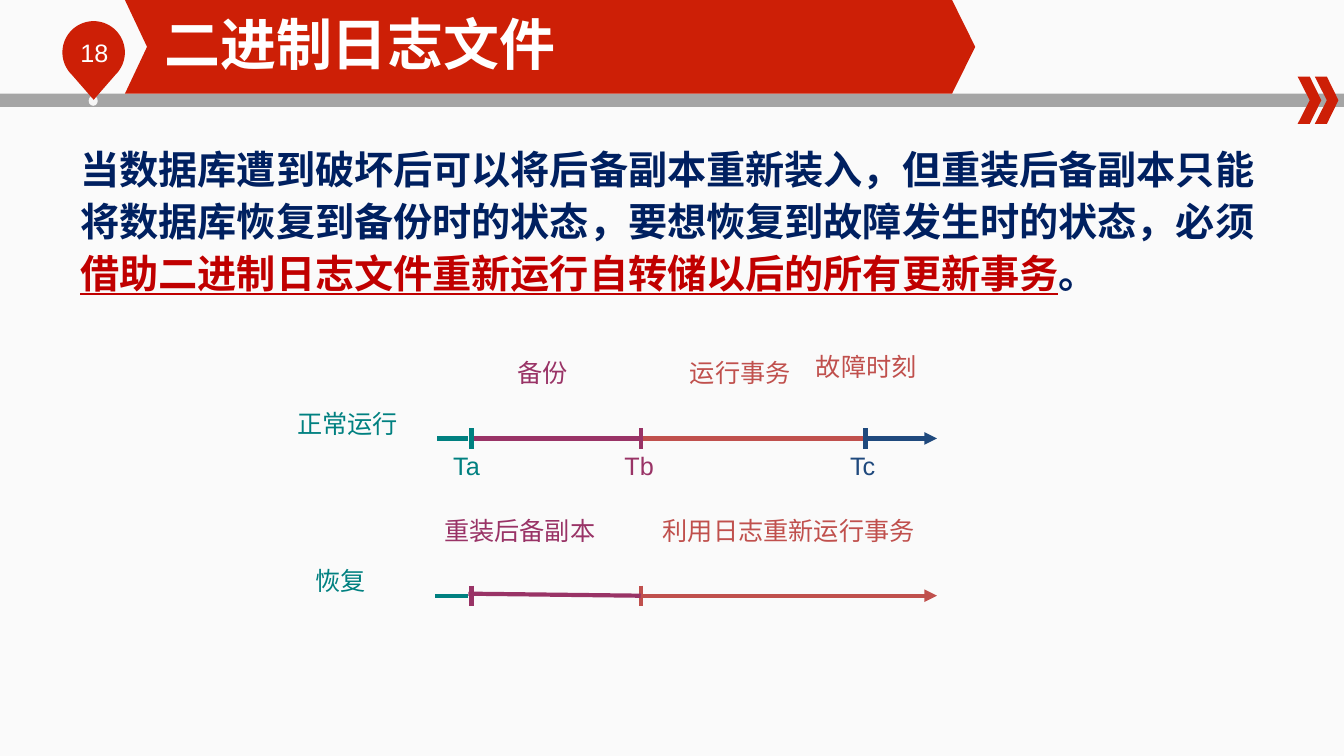
import math

import pptx
import pptx.dml.color
import pptx.enum.dml
import pptx.enum.shapes
import pptx.enum.text
import pptx.oxml.ns
import pptx.util
from lxml import etree

RGBColor = pptx.dml.color.RGBColor
SHAPE = pptx.enum.shapes.MSO_SHAPE
ANCHOR = pptx.enum.text.MSO_ANCHOR
qn = pptx.oxml.ns.qn

RED = RGBColor(0xCD, 0x1F, 0x06)
DARK_RED = RGBColor(0xC0, 0x00, 0x00)
NAVY = RGBColor(0x00, 0x20, 0x60)
BLUE = RGBColor(0x1F, 0x49, 0x7D)
PURPLE = RGBColor(0x99, 0x33, 0x66)
CORAL = RGBColor(0xC0, 0x50, 0x4D)
TEAL = RGBColor(0x00, 0x80, 0x80)
GREY = RGBColor(0xA5, 0xA5, 0xA5)
PALE = RGBColor(0xF6, 0xF6, 0xF6)
WHITE = RGBColor(0xFF, 0xFF, 0xFF)
BACK_TOP = RGBColor(0xFA, 0xFA, 0xFA)
BACK_BOTTOM = RGBColor(0xFC, 0xFC, 0xFC)

LATIN, CJK = "Arial", "Noto Sans CJK SC"
COLS, ROWS = 133.4, 75  # grid of square cells
CELL = pptx.util.Inches(0.1)


def cells(*counts):
    return [pptx.util.Emu(round(n * CELL)) for n in counts]


def add_run(p, text, size=18, font=LATIN, color=WHITE, bold=False, underline=False):
    r = p.add_run()
    r.text = text
    r.font.size = pptx.util.Pt(size)
    r.font.name = font
    r.font.bold = bold
    r.font.underline = underline
    r.font.color.rgb = color
    etree.SubElement(r.font._element, qn("a:ea"), typeface=CJK)
    return r


class Deck:
    """Holds the line style and the current slide; lengths are grid cells."""

    line_width = pptx.util.Pt(3)

    def __init__(self):
        self.prs = pptx.Presentation()
        self.prs.slide_width, self.prs.slide_height = cells(COLS, ROWS)
        self.s = self.prs.slides.add_slide(self.prs.slide_layouts[6])

    def background(self, top, bottom):
        fill = self.s.background.fill
        fill.gradient()
        fill.gradient_angle = 270
        for stop, color, position in zip(fill.gradient_stops, (top, bottom), (0, 1)):
            stop.color.rgb = color
            stop.position = position

    def paint(self, sp, color):
        sp.shadow.inherit = False
        sp.fill.solid()
        sp.fill.fore_color.rgb = color
        sp.line.fill.background()

    def shape(self, kind, x, y, w, h, color):
        self.paint(self.s.shapes.add_shape(kind, *cells(x, y, w, h)), color)

    def outline(self, points, color):
        start, *rest = [cells(*point) for point in points]
        builder = self.s.shapes.build_freeform(*start)
        builder.add_line_segments(rest, close=True)
        self.paint(builder.convert_to_shape(), color)

    def line(self, x1, y1, x2, y2, color, arrow=False):
        sp = self.s.shapes.add_connector(
            pptx.enum.shapes.MSO_CONNECTOR.STRAIGHT, *cells(x1, y1, x2, y2))
        sp.line.width = self.line_width
        sp.line.color.rgb = color
        if arrow:
            etree.SubElement(sp.line._get_or_add_ln(), qn("a:tailEnd"), type="triangle")
        etree.SubElement(sp._element.spPr, qn("a:effectLst"))

    def tick(self, x, y, color):
        self.line(x, y - 1, x, y + 1, color)

    def text(self, x, y, w, h, runs, wrap=True, inset=(1, 0.5), anchor=ANCHOR.TOP,
             spacing=None, after=None):
        tf = self.s.shapes.add_textbox(*cells(x, y, w, h)).text_frame
        tf.word_wrap = wrap
        tf.auto_size = pptx.enum.text.MSO_AUTO_SIZE.SHAPE_TO_FIT_TEXT
        tf.vertical_anchor = anchor
        tf.margin_left, tf.margin_top = cells(*inset)
        tf.margin_right, tf.margin_bottom = cells(*inset)
        p = tf.paragraphs[0]
        p.line_spacing = spacing
        p.space_after = after
        for text, style in runs:
            add_run(p, text, **style)

    def label(self, x, y, text, color):
        width = 4.9 if text.isascii() else 2.5 * len(text) + 2
        self.text(x, y, width, 4, [(text, {"color": color})], wrap=False)


def main():
    deck = Deck()
    deck.background(BACK_TOP, BACK_BOTTOM)

    # Header bar and page pin
    deck.shape(SHAPE.RECTANGLE, 0, 9.3, COLS, 1.3, GREY)
    deck.shape(SHAPE.OVAL, 8.8, 9.5, 0.9, 1, PALE)
    arc = [math.radians(a) for a in range(134, 407, 4)]
    pin = [(9.3 + 3.1 * math.cos(a), 5.2 + 3.1 * math.sin(a)) for a in arc]
    deck.outline(pin + [(9.3, 9.9)], RED)
    deck.text(7, 3.2, 7.6, 4, [("18", {})])

    # Chevrons at the right and title banner
    for x in (128.8, 130.5):
        deck.outline([(x, 7.6), (x + 1.2, 7.6), (x + 2.35, 9.95), (x + 1.2, 12.3),
                      (x, 12.3), (x + 1.2, 9.95)], RED)
    deck.outline([(12.4, 0), (94.5, 0), (96.8, 4.65), (94.5, 9.3),
                  (12.4, 9.3), (14.6, 4.65)], RED)
    deck.text(16.3, 0.9, 66.1, 6.7,
              [("二进制日志文件", {"size": 40, "font": CJK, "bold": True})],
              inset=(0, 0), anchor=ANCHOR.MIDDLE)

    # Explanation
    body = {"size": 28, "font": CJK, "bold": True, "color": NAVY}
    deck.text(7, 13.5, 118.9, 16.4, [
        ("当数据库遭到破坏后可以将后备副本重新装入，但重装后备副本只能"
         "将数据库恢复到备份时的状态，要想恢复到故障发生时的状态，必须", body),
        ("借助二进制日志文件重新运行自转储以后的所有更新事务",
         {**body, "color": DARK_RED, "underline": True}),
        ("。", body),
    ], spacing=1.1, after=pptx.util.Pt(12))

    # Moments shared by both timelines
    ta, tb, tc, end = 46.8, 63.6, 85.9, 93
    normal, recovery = 43.5, 59.1

    # Normal operation
    deck.line(ta, normal, tb, normal, PURPLE)
    deck.line(tb, normal, tc, normal, CORAL)
    deck.line(tc, normal, end, normal, BLUE, arrow=True)
    deck.line(43.4, normal, 46.5, normal, TEAL)
    for name, x, label_x, color in (("Ta", ta, 44, TEAL), ("Tb", tb, 61, PURPLE),
                                    ("Tc", tc, 83.4, BLUE)):
        deck.tick(x, normal, color)
        deck.label(label_x, 44.2, name, color)

    # Recovery
    deck.tick(tb, recovery, CORAL)
    deck.line(46.5, recovery - 0.2, tb, recovery, PURPLE)
    deck.tick(ta, recovery, PURPLE)
    deck.line(tb, recovery, end, recovery, CORAL, arrow=True)
    deck.line(43.2, recovery, 46.5, recovery, TEAL)

    # Phase labels
    for x, y, text, color in (
        (50.4, 35, "备份", PURPLE),
        (67.5, 35, "运行事务", CORAL),
        (80, 34.4, "故障时刻", CORAL),
        (28.5, 40, "正常运行", TEAL),
        (43.1, 50.6, "重装后备副本", PURPLE),
        (64.8, 50.6, "利用日志重新运行事务", CORAL),
        (30.3, 55.6, "恢复", TEAL),
    ):
        deck.label(x, y, text, color)

    deck.prs.save("out.pptx")


if __name__ == "__main__":
    main()
